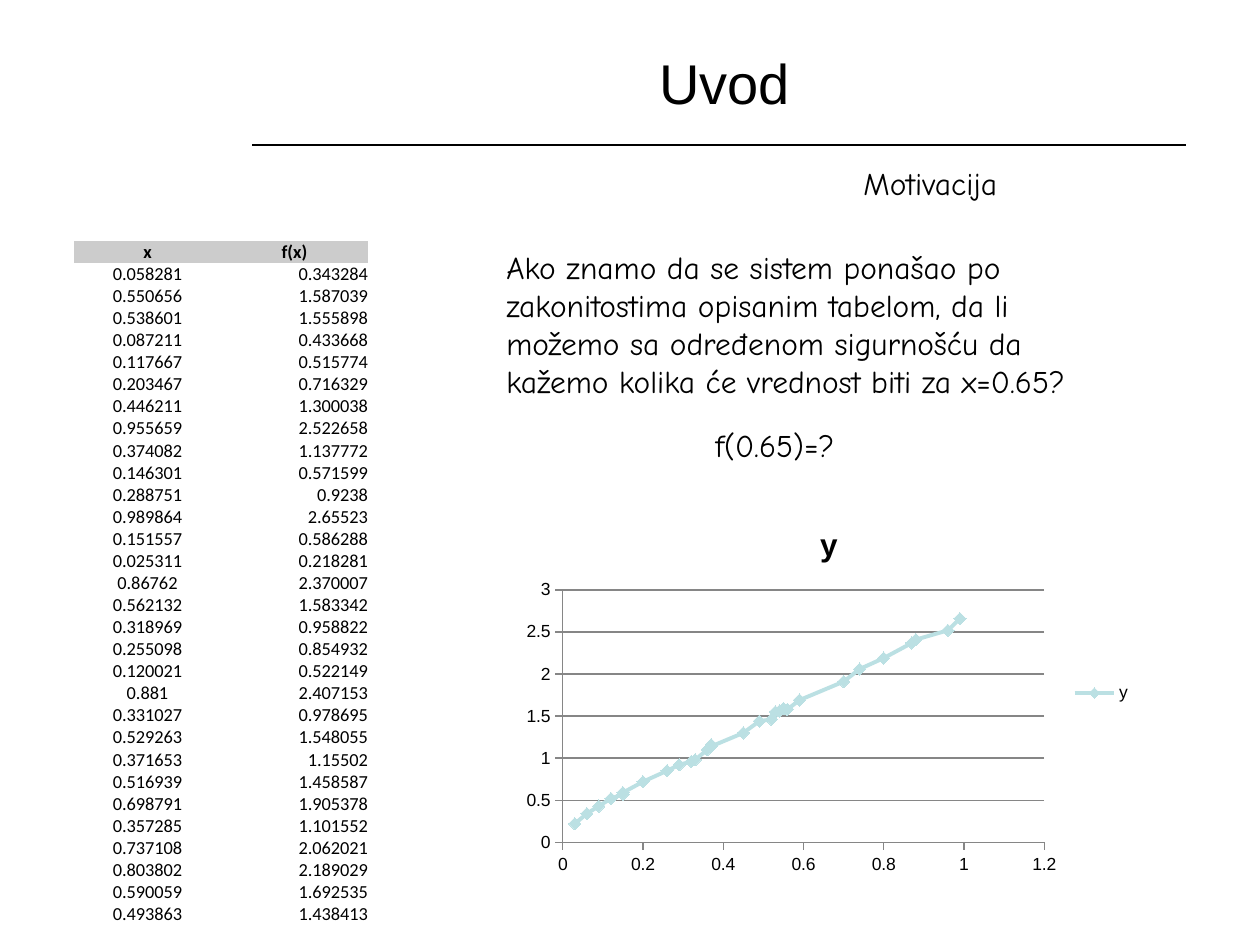
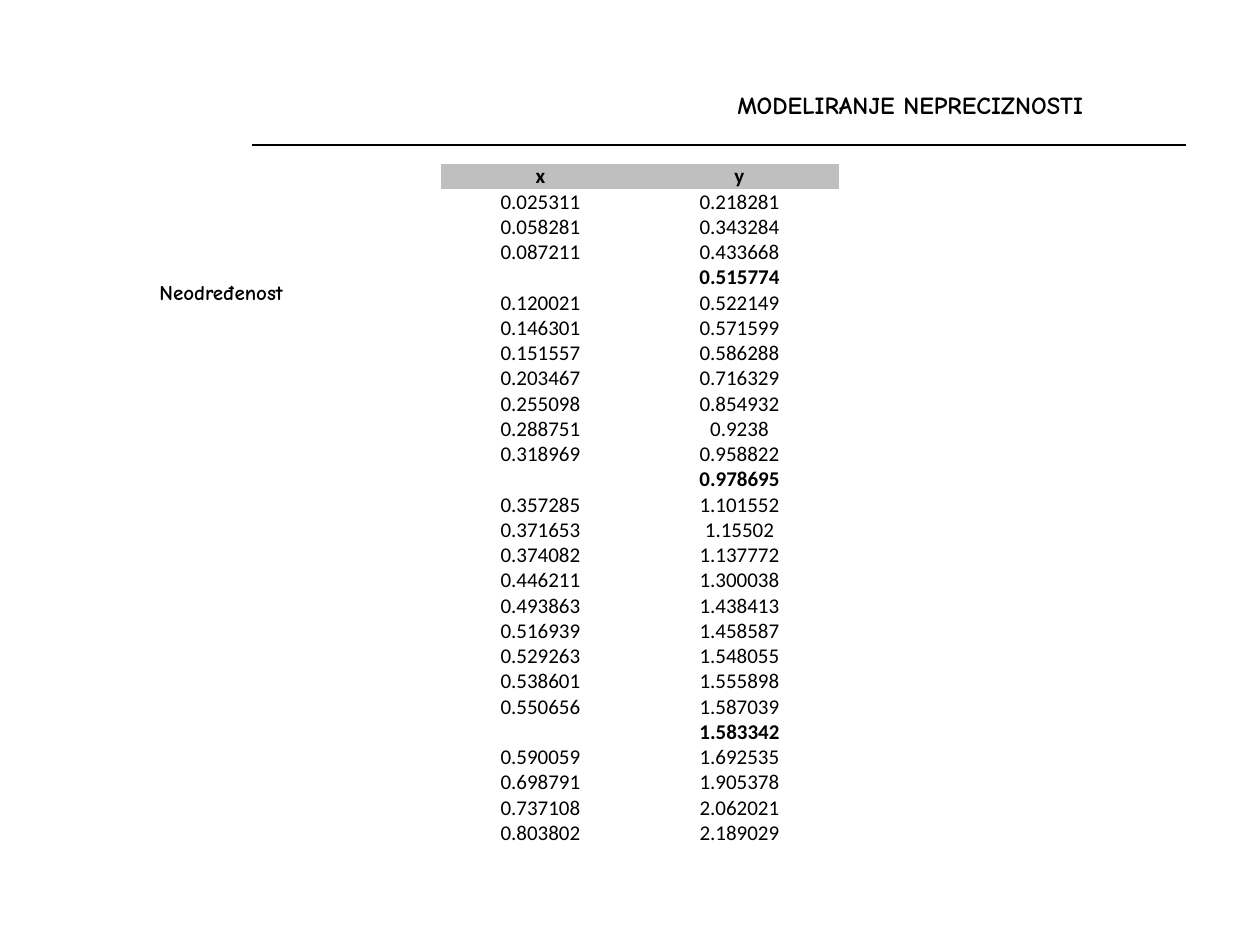
from lxml import etree
from pptx import Presentation
from pptx.chart.data import XyChartData
from pptx.dml.color import RGBColor
from pptx.enum.chart import XL_CHART_TYPE, XL_LEGEND_POSITION, XL_MARKER_STYLE, XL_TICK_MARK
from pptx.enum.shapes import MSO_CONNECTOR
from pptx.enum.text import MSO_ANCHOR, PP_ALIGN
from pptx.oxml.ns import qn
from pptx.util import Pt

EMU_PER_PX = 914400 / 126
LEFT, CENTER, RIGHT = PP_ALIGN.LEFT, PP_ALIGN.CENTER, PP_ALIGN.RIGHT
TOP, MIDDLE, BOTTOM = MSO_ANCHOR.TOP, MSO_ANCHOR.MIDDLE, MSO_ANCHOR.BOTTOM
OUTSIDE = XL_TICK_MARK.OUTSIDE
BLACK, GRAY, TEAL = "000000", "868686", "BBE0E3"
TITLE_FONT, BODY_FONT, TABLE_FONT = "Arial", "Comic Neue", "Calibri"
NO_STYLE_NO_GRID = "{2D5ABB26-0587-4C30-8999-92F81FD0307C}"
rgb = RGBColor.from_string


def px(*lengths):
    return [round(length * EMU_PER_PX) for length in lengths]


def write(paragraph, text, align, font, size, bold=False):
    paragraph.alignment = align
    if not text:
        # An empty cell needs its own size, or the row grows.
        etree.SubElement(paragraph._p, qn("a:endParaRPr"), sz=str(int(size * 100)))
        return
    run = paragraph.add_run()
    run.text = text
    for name, value in {"name": font, "size": Pt(size), "bold": bold}.items():
        setattr(run.font, name, value)
    run.font.color.rgb = rgb(BLACK)


measurements = [
    ("0.058281", "0.343284"), ("0.550656", "1.587039"), ("0.538601", "1.555898"),
    ("0.087211", "0.433668"), ("0.117667", "0.515774"), ("0.203467", "0.716329"),
    ("0.446211", "1.300038"), ("0.955659", "2.522658"), ("0.374082", "1.137772"),
    ("0.146301", "0.571599"), ("0.288751", "0.9238"), ("0.989864", "2.65523"),
    ("0.151557", "0.586288"), ("0.025311", "0.218281"), ("0.86762", "2.370007"),
    ("0.562132", "1.583342"), ("0.318969", "0.958822"), ("0.255098", "0.854932"),
    ("0.120021", "0.522149"), ("0.881", "2.407153"), ("0.331027", "0.978695"),
    ("0.529263", "1.548055"), ("0.371653", "1.15502"), ("0.516939", "1.458587"),
    ("0.698791", "1.905378"), ("0.357285", "1.101552"), ("0.737108", "2.062021"),
    ("0.803802", "2.189029"), ("0.590059", "1.692535"), ("0.493863", "1.438413"),
]
by_x = sorted(measurements, key=lambda pair: float(pair[0]))
unknown_x = {"0.117667", "0.331027", "0.562132"}
uncertain = [("" if x in unknown_x else x, y) for x, y in by_x[:26]]

question = (
    "Ako znamo da se sistem ponašao po zakonitostima opisanim tabelom, da li "
    "možemo sa određenom sigurnošću da kažemo kolika će vrednost biti za x=0.65?"
)

# Texts: box, text, alignment, anchor, wrap, font, size, bold
slides = [
    {
        "texts": [
            ((252, 35, 945, 95), "Uvod", CENTER, MIDDLE, True, TITLE_FONT, 32, False),
            ((851, 158, 347, 50), "Motivacija", LEFT, TOP, True, BODY_FONT, 18, False),
            ((494, 242, 640, 165), question, LEFT, TOP, True, BODY_FONT, 18, False),
            ((703, 420, 179, 50), "f(0.65)=?", LEFT, TOP, True, BODY_FONT, 18, False),
        ],
        "table": {"at": (74, 241), "column": 147, "row": 22, "size": 10.5, "header": "CCCCCC",
                  "aligns": (CENTER, RIGHT), "rows": [("x", "f(x)"), *measurements]},
    },
    {
        "texts": [
            ((147, 273, 166, 38), "Neodređenost", LEFT, TOP, False, BODY_FONT, 12, True),
            ((725, 84, 438, 43), "MODELIRANJE NEPRECIZNOSTI", LEFT, TOP, False, BODY_FONT, 14, True),
        ],
        "table": {"at": (441, 164), "column": 199, "row": 25, "size": 12, "header": "BFBFBF",
                  "aligns": (CENTER, CENTER), "rows": [("x", "y"), *uncertain]},
    },
]

prs = Presentation()
prs.slide_width, prs.slide_height = px(1260, 945)

for content in slides:
    slide = prs.slides.add_slide(prs.slide_layouts[6])
    rule = slide.shapes.add_connector(MSO_CONNECTOR.STRAIGHT, *px(252, 145, 1186, 145))
    rule.line.color.rgb = rgb(BLACK)
    rule.line.width = Pt(0.75)
    etree.SubElement(rule._element.spPr, qn("a:effectLst"))

    for box, text, align, anchor, wrap, font, size, bold in content["texts"]:
        frame = slide.shapes.add_textbox(*px(*box)).text_frame
        frame.word_wrap = wrap
        frame.vertical_anchor = anchor
        write(frame.paragraphs[0], text, align, font, size, bold)

    layout = content["table"]
    rows = layout["rows"]
    grid = slide.shapes.add_table(
        len(rows), 2, *px(*layout["at"], 2 * layout["column"], len(rows) * layout["row"])
    ).table
    grid.first_row = grid.horz_banding = False
    grid._tbl.tblPr.find(qn("a:tableStyleId")).text = NO_STYLE_NO_GRID
    for column in grid.columns:
        column.width, = px(layout["column"])
    for r, values in enumerate(rows):
        grid.rows[r].height, = px(layout["row"])
        for c, value in enumerate(values):
            cell = grid.cell(r, c)
            for side in ("left", "top", "right", "bottom"):
                setattr(cell, f"margin_{side}", 0)
            cell.vertical_anchor = BOTTOM
            if r == 0:
                cell.fill.solid()
                cell.fill.fore_color.rgb = rgb(layout["header"])
            else:
                cell.fill.background()
            align = CENTER if r == 0 else layout["aligns"][c]
            bold = r == 0 or "" in values
            write(cell.text_frame.paragraphs[0], value, align, TABLE_FONT, layout["size"], bold)

points = XyChartData()
y_series = points.add_series("y")
for x, y in by_x:
    y_series.add_data_point(round(float(x), 2), round(float(y), 2))
chart = prs.slides[0].shapes.add_chart(
    XL_CHART_TYPE.XY_SCATTER_SMOOTH, *px(514, 504, 630, 378), points
).chart
chart.font.name = TITLE_FONT
chart.font.size = Pt(10)
chart.font.color.rgb = rgb(BLACK)
chart.has_title = True
write(chart.chart_title.text_frame.paragraphs[0], "y", CENTER, TITLE_FONT, 18, True)
chart.chart_title.include_in_layout = False
chart.has_legend = True
chart.legend.position = XL_LEGEND_POSITION.RIGHT
chart.legend.include_in_layout = False

for axis, top, step in ((chart.category_axis, 1.2, 0.2), (chart.value_axis, 3, 0.5)):
    scale = {"minimum_scale": 0, "maximum_scale": top, "major_unit": step,
             "major_tick_mark": OUTSIDE, "has_major_gridlines": axis is chart.value_axis}
    for name, value in scale.items():
        setattr(axis, name, value)
    axis.tick_labels.number_format = "General"
    axis.tick_labels.number_format_is_linked = False
    axis.format.line.color.rgb = rgb(GRAY)
    axis.format.line.width = Pt(0.75)
gridlines = chart.value_axis.major_gridlines.format.line
gridlines.color.rgb = rgb(GRAY)
gridlines.width = Pt(0.75)

chart.plots[0].vary_by_categories = False
curve = chart.plots[0].series[0]
curve.smooth = True
curve.format.line.color.rgb = rgb(TEAL)
curve.format.line.width = Pt(2.25)
curve.marker.style = XL_MARKER_STYLE.DIAMOND
curve.marker.size = 7
curve.marker.format.fill.solid()
curve.marker.format.fill.fore_color.rgb = rgb(TEAL)
curve.marker.format.line.color.rgb = rgb(TEAL)

prs.save("out.pptx")
